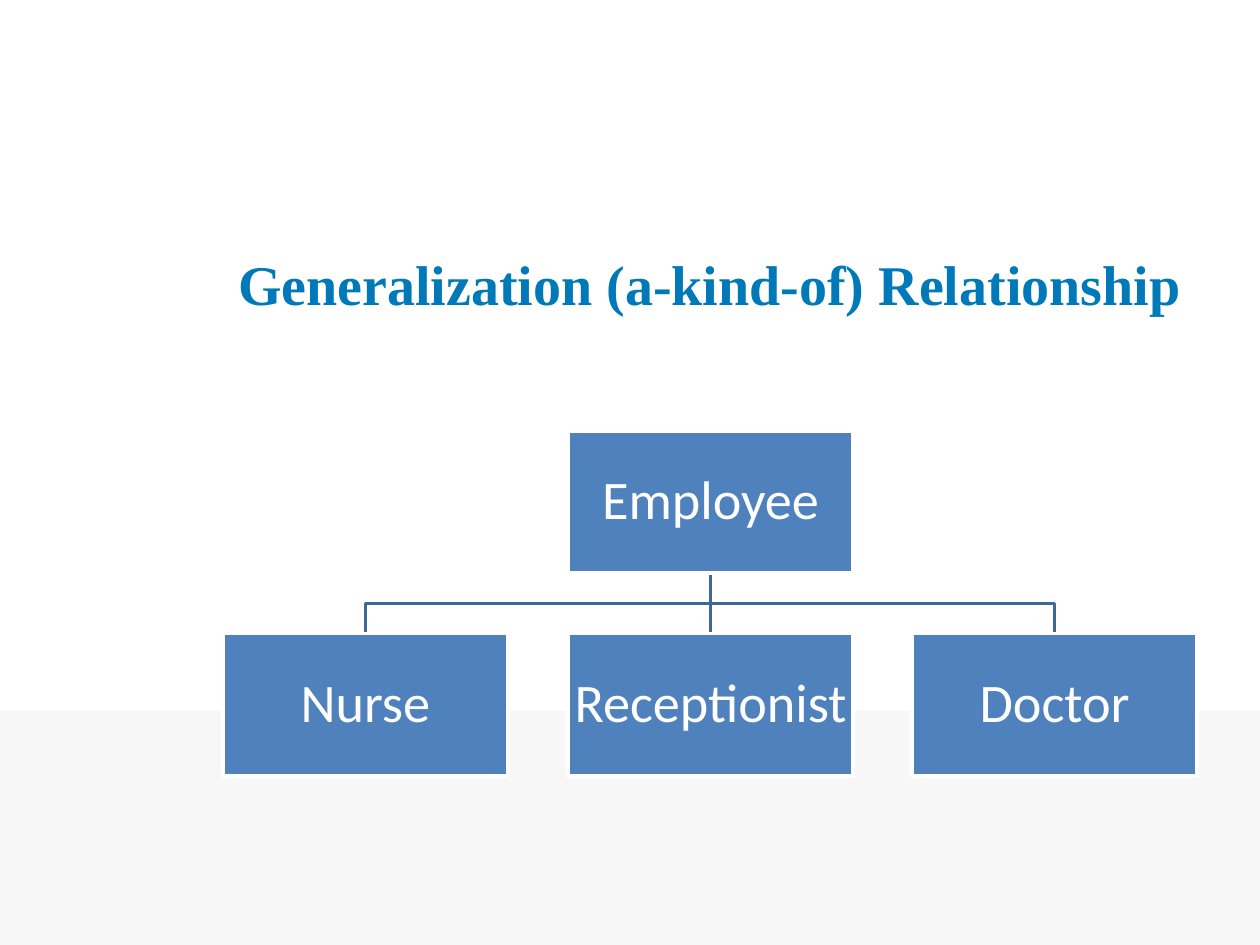
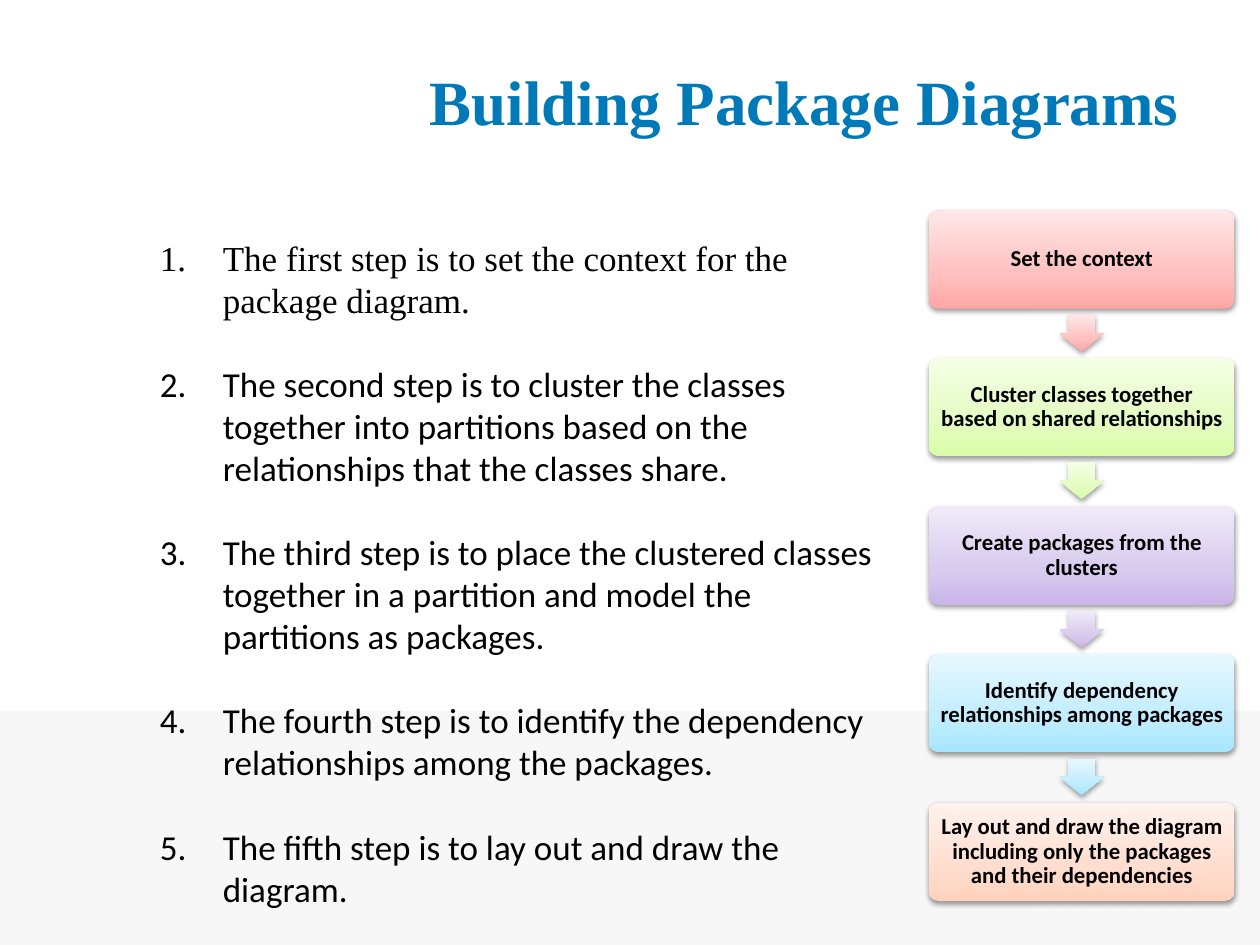
from copy import deepcopy

from pptx import Presentation
from pptx.dml.color import RGBColor
from pptx.enum.shapes import MSO_CONNECTOR, MSO_SHAPE
from pptx.enum.text import MSO_ANCHOR, PP_ALIGN
from pptx.oxml.ns import qn
from pptx.oxml.xmlchemy import OxmlElement
from pptx.util import Pt

PX = 9144  # 100 px to the inch
SERIF, SANS = "Times New Roman", "Calibri"
TITLE, BAND, BLUE, LINE = "0079B8", "F7F7F7", "4F81BD", "3F6797"
WHITE, BLACK = "FFFFFF", "000000"
rgb = RGBColor.from_string


def draw(slide, kind, x, y, w, h, fill=None):
    """Add a preset shape with no line or shadow, or a text box if kind is None."""
    place = [n * PX for n in (x, y, w, h)]
    if kind is None:
        shape = slide.shapes.add_textbox(*place)
        shape.text_frame.word_wrap = True
        return shape
    shape = slide.shapes.add_shape(kind, *place)
    shape.shadow.inherit = False
    shape.line.fill.background()
    if fill:
        shape.fill.solid()
        shape.fill.fore_color.rgb = rgb(fill)
    return shape


def label(shape, text, size, font, color, bold=False, inset=5, space=0.9):
    """Put centred text into a shape."""
    frame = shape.text_frame
    frame.text = text
    frame.word_wrap = True
    frame.vertical_anchor = MSO_ANCHOR.MIDDLE
    frame.margin_left = frame.margin_right = inset * PX
    frame.margin_top = frame.margin_bottom = inset * PX
    para = frame.paragraphs[0]
    para.alignment = PP_ALIGN.CENTER
    para.line_spacing = space
    face = para.runs[0].font
    face.name, face.size, face.bold = font, Pt(size), bold
    face.color.rgb = rgb(color)


deck = Presentation()
deck.slide_width, deck.slide_height = 1000 * PX, 750 * PX

# Band and title on both slides
slides = []
for text, size, place in [
    ("Generalization (a-kind-of) Relationship", 32, (177, 162, 773, 125)),
    ("Building Package Diagrams", 36, (327, 17, 623, 125)),
]:
    slide = deck.slides.add_slide(deck.slide_layouts[6])
    draw(slide, MSO_SHAPE.RECTANGLE, 0, 564, 1000, 186, BAND)
    label(draw(slide, None, *place), text, size, SERIF, TITLE, True, space=1.0)
    slides.append(slide)
tree, steps = slides

# Class tree: one parent over three kinds
WIDE, HIGH, MID = 226, 113, 564
TOP, LOW = 342, 503
boxes = []
for name, left, top in [
    ("Employee", 451, TOP),
    ("Nurse", 177, LOW),
    ("Receptionist", 451, LOW),
    ("Doctor", 724, LOW),
]:
    box = draw(tree, MSO_SHAPE.RECTANGLE, left, top, WIDE, HIGH, BLUE)
    box.line.color.rgb = rgb(WHITE)
    box.line.width = Pt(2)
    label(box, name, 31, SANS, WHITE, inset=2)
    boxes.append(box)

stem = tree.shapes.add_connector(MSO_CONNECTOR.STRAIGHT, 0, 0, 0, 0)
stem.begin_connect(boxes[0], 2)
stem.end_connect(boxes[2], 0)
stem._element.spPr.append(OxmlElement("a:effectLst"))
links = [stem]
for end in (290, 837):
    path = tree.shapes.build_freeform(MID, TOP + HIGH, scale=PX)
    path.add_line_segments([(MID, 479), (end, 479), (end, LOW)], close=False)
    bend = path.convert_to_shape()
    bend.fill.background()
    bend.shadow.inherit = False
    links.append(bend)
for link in links:
    link.line.color.rgb = rgb(LINE)
    link.line.width = Pt(2)
for box in boxes:  # boxes lie over the line ends
    tree.shapes._spTree.append(box._element)

# Flow of five steps, each with an arrow to the next
flow = [
    ("Set the context", ("FFA6A5", "FFC0BF", "FFE7E7")),
    ("Cluster classes together based on shared relationships",
     ("DAFDA7", "E4FCC2", "F5FFE7")),
    ("Create packages from the clusters", ("C9B5E8", "D8CBEE", "F0EAF9")),
    ("Identify dependency relationships among packages",
     ("A7E6FF", "C1EDFF", "E7F8FF")),
    ("Lay out and draw the diagram including only the packages and their dependencies",
     ("FFD2BD", "FFDED0", "FFF2ED")),
]
for i, (text, tones) in enumerate(flow):
    top = 167 + 235 * i // 2
    card = draw(steps, MSO_SHAPE.ROUNDED_RECTANGLE, 737, top, 243, 78)
    card.adjustments[0] = 0.1
    label(card, text, 13, SANS, BLACK, True, inset=7)
    parts = [card]
    if i < len(flow) - 1:
        arrow = draw(steps, MSO_SHAPE.DOWN_ARROW, 841, top + 83, 35, 29)
        arrow.adjustments[0] = 0.6
        arrow.adjustments[1] = 0.5
        parts.append(arrow)
    for part in parts:
        part.fill.gradient()
        part.fill.gradient_angle = 90
        props = part._element.spPr
        stops = props.find(".//" + qn("a:gsLst"))
        stops.append(deepcopy(stops[0]))
        for stop, spot, tone in zip(part.fill.gradient_stops, (0, 0.35, 1), tones):
            stop.position = spot
            stop.color.rgb = rgb(tone)
        glow = OxmlElement("a:outerShdw")
        for key, value in [("blurRad", Pt(3.1)), ("dist", Pt(1.6)), ("dir", 5400000)]:
            glow.set(key, str(int(value)))
        glow.set("rotWithShape", "0")
        tint = OxmlElement("a:srgbClr")
        tint.set("val", BLACK)
        alpha = OxmlElement("a:alpha")
        alpha.set("val", "38000")
        tint.append(alpha)
        glow.append(tint)
        props.find(qn("a:effectLst")).append(glow)

# Numbered list
items = [
    "The first step is to set the context for the package diagram.",
    "The second step is to cluster the classes together into partitions "
    "based on the relationships that the classes share.",
    "The third step is to place the clustered classes together in a partition "
    "and model the partitions as packages.",
    "The fourth step is to identify the dependency relationships among the packages.",
    "The fifth step is to lay out and draw the diagram.",
]
frame = draw(steps, None, 117, 183, 592, 549).text_frame
frame.text = "\n".join(items)
for i, para in enumerate(frame.paragraphs):
    face = para.runs[0].font
    face.name, face.size = SANS if i else SERIF, Pt(20)
    face.color.rgb = rgb(BLACK)
    if i:
        para.space_before = Pt(24)
    props = para._p.get_or_add_pPr()
    props.set("marL", str(50 * PX))
    props.set("indent", str(-50 * PX))
    mark = OxmlElement("a:buAutoNum")
    mark.set("type", "arabicPeriod")
    props.append(mark)

deck.save("out.pptx")
